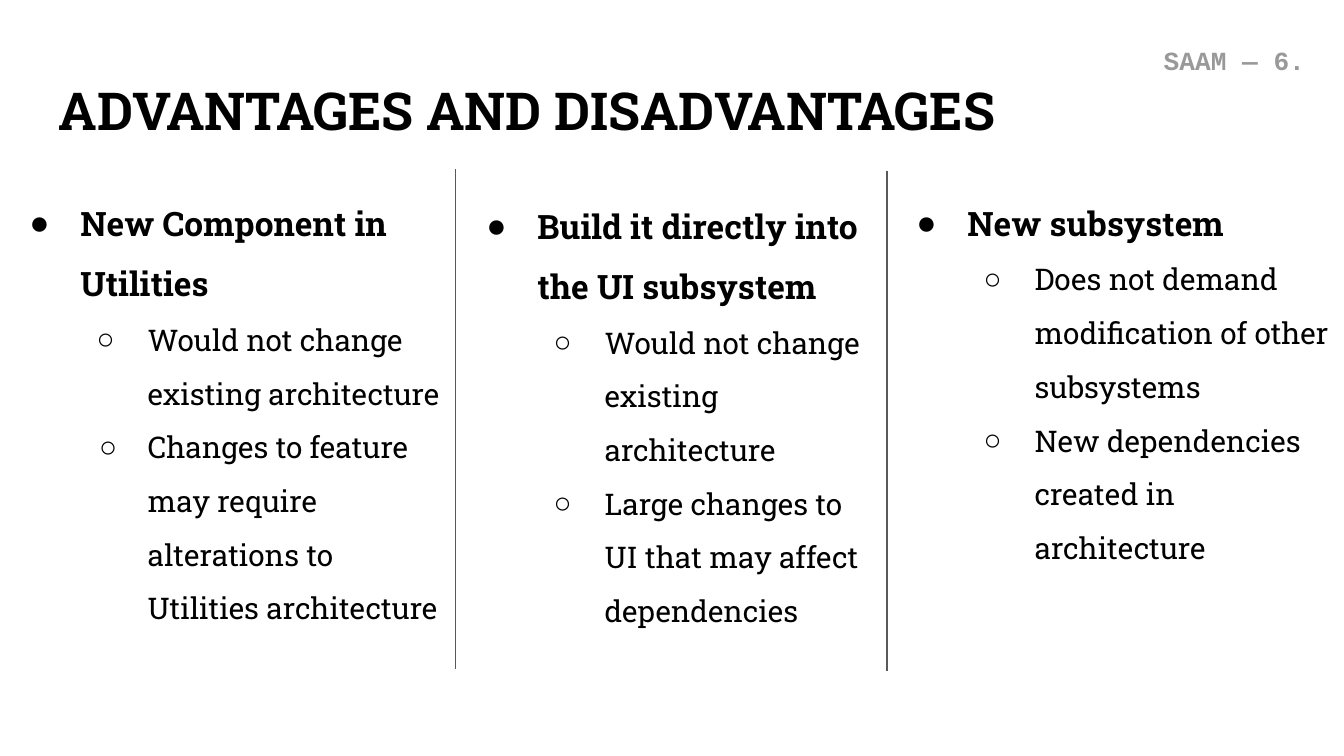
from lxml.etree import SubElement
from pptx import Presentation
from pptx.dml.color import RGBColor
from pptx.enum.shapes import MSO_CONNECTOR
from pptx.enum.text import MSO_ANCHOR, PP_ALIGN
from pptx.oxml.ns import qn
from pptx.util import Inches, Pt


def add_run(paragraph, text, size, color="000000", font="Roboto Slab", bold=False):
    run = paragraph.add_run()
    run.text = text
    run.font.size = Pt(size)
    run.font.name = font
    run.font.bold = bold
    run.font.color.rgb = RGBColor.from_string(color)


def add_bullet(paragraph, symbol, left, hanging, color="000000"):
    properties = paragraph._p.get_or_add_pPr()
    properties.set("marL", str(Inches(left)))
    properties.set("indent", str(-Inches(hanging)))
    bullet_color = SubElement(properties, qn("a:buClr"))
    SubElement(bullet_color, qn("a:srgbClr")).set("val", color)
    SubElement(properties, qn("a:buFont")).set("typeface", "Arial")
    SubElement(properties, qn("a:buChar")).set("char", symbol)


presentation = Presentation()
presentation.slide_width = Inches(10)
presentation.slide_height = Inches(10) * 9 // 16
slide = presentation.slides.add_slide(presentation.slide_layouts[6])

# Title
title = slide.shapes.add_textbox(Inches(0.34), Inches(0.5), Inches(9.32), Inches(0.63))
frame = title.text_frame
frame.word_wrap = True
frame.margin_top = frame.margin_bottom = Inches(0.1)
frame.vertical_anchor = MSO_ANCHOR.MIDDLE
add_run(frame.paragraphs[0], "ADVANTAGES AND DISADVANTAGES", 28, bold=True)

# Three columns: left, top, width, heading, points with their hanging indent
columns = [
    (0, 1.26, 3.4, "New Component in Utilities", [
        ("Would not change existing architecture", 0.38),
        ("Changes to feature may require alterations to Utilities architecture", 0.36),
    ]),
    (3.4, 1.28, 3.21, "Build it directly into the UI subsystem", [
        ("Would not change existing architecture", 0.38),
        ("Large changes to UI that may affect dependencies", 0.38),
    ]),
    (6.6, 1.26, 3.4, "New subsystem", [
        ("Does not demand modification of other subsystems", 0.38),
        ("New dependencies created in architecture", 0.38),
    ]),
]
for left, top, width, heading, points in columns:
    column = slide.shapes.add_textbox(Inches(left), Inches(top), Inches(width), Inches(5 - top))
    frame = column.text_frame
    frame.word_wrap = True
    frame.margin_top = frame.margin_bottom = Inches(0.1)
    paragraph = frame.paragraphs[0]
    paragraph.line_spacing = 1.5
    add_bullet(paragraph, "●", 0.5, 0.38)
    add_run(paragraph, heading, 18, bold=True)
    for text, hanging in points:
        paragraph = frame.add_paragraph()
        paragraph.level = 1
        paragraph.line_spacing = 1.5
        add_bullet(paragraph, "○", 1, hanging)
        add_run(paragraph, text, 16)

# Section tag
tag = slide.shapes.add_textbox(Inches(7.54), Inches(0), Inches(2.27), Inches(1.13))
frame = tag.text_frame
frame.word_wrap = True
frame.margin_top = Inches(0.33)
frame.paragraphs[0].alignment = PP_ALIGN.RIGHT
add_run(frame.paragraphs[0], "SAAM — 6.", 14, "999999", "Courier New", bold=True)

# Column dividers
for x, top in [(3.39, 1.26), (6.6, 1.27)]:
    divider = slide.shapes.add_connector(
        MSO_CONNECTOR.STRAIGHT, Inches(x), Inches(top), Inches(x), Inches(top + 3.72))
    divider.line.color.rgb = RGBColor.from_string("595959")
    divider.line.width = Pt(0.75)
    SubElement(divider._element.spPr, qn("a:effectLst"))

presentation.save("out.pptx")
